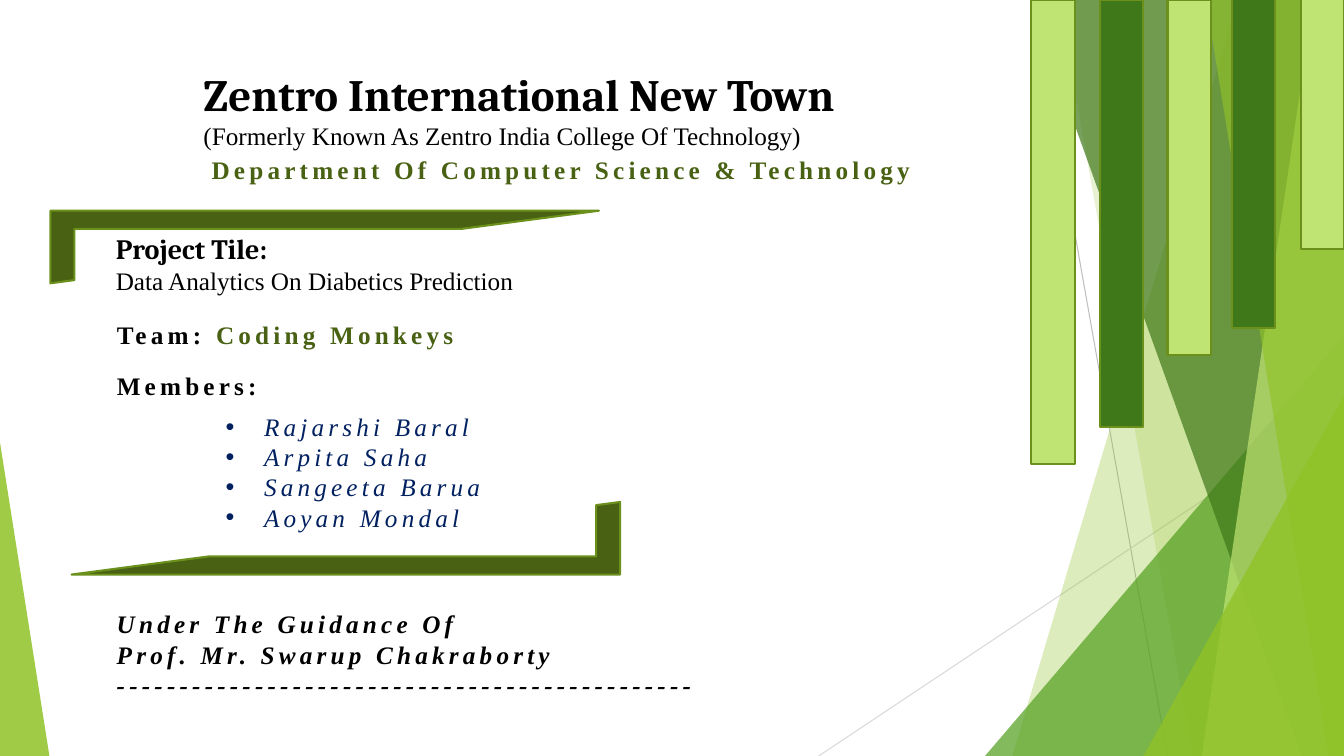
from dataclasses import dataclass

from lxml.etree import SubElement
from pptx import Presentation
from pptx.dml.color import RGBColor
from pptx.enum.shapes import MSO_CONNECTOR, MSO_SHAPE
from pptx.enum.text import MSO_AUTO_SIZE, PP_ALIGN
from pptx.oxml.ns import qn
from pptx.util import Inches, Pt


@dataclass(frozen=True)
class Theme:
    black: str = "000000"
    olive: str = "486113"
    outline: str = "6B901C"
    lime: str = "90C226"
    pale: str = "C0E474"
    forest: str = "3F7819"
    leaf: str = "54A021"
    navy: str = "002060"
    gray: str = "BFBFBF"
    light_gray: str = "D9D9D9"
    heading_font: str = "Cambria"
    body_font: str = "Times New Roman"
    title_size: int = 32
    heading_size: int = 20
    body_size: int = 18
    tracking: int = 300


THEME = Theme()
WIDTH, HEIGHT, TOP = 13.33, 7.5, -0.01


def paint(shape, color, opacity=100, outlined=False):
    shape.shadow.inherit = False
    shape.fill.solid()
    shape.fill.fore_color.rgb = RGBColor.from_string(color)
    if opacity < 100:
        tint = shape.fill._xPr.find(qn("a:solidFill"))[0]
        SubElement(tint, qn("a:alpha")).set("val", str(opacity * 1000))
    if outlined:
        shape.line.color.rgb = RGBColor.from_string(THEME.outline)
        shape.line.width = Pt(1.5)
    else:
        shape.line.fill.background()


def add_preset(page, kind, bounds, color, adjustments=(), **style):
    shape = page.shapes.add_shape(kind, *map(Inches, bounds))
    for index, value in enumerate(adjustments):
        shape.adjustments[index] = value
    paint(shape, color, **style)
    return shape


def add_shard(page, top_left, bottom_left, color, opacity):
    corners = [(WIDTH, TOP), (WIDTH, HEIGHT), (bottom_left, HEIGHT)]
    builder = page.shapes.build_freeform(Inches(top_left), Inches(TOP))
    builder.add_line_segments([(Inches(x), Inches(y)) for x, y in corners], close=True)
    paint(builder.convert_to_shape(), color, opacity)


def add_corner_triangle(page, left, top, width, tip, color, opacity):
    bounds = (left, top, width, HEIGHT - top)
    add_preset(page, MSO_SHAPE.ISOSCELES_TRIANGLE, bounds, color, [tip], opacity=opacity)


def add_hairline(page, start, end, color):
    line = page.shapes.add_connector(MSO_CONNECTOR.STRAIGHT, *map(Inches, start + end))
    line.line.color.rgb = RGBColor.from_string(color)
    line.line.width = Pt(0.75)
    SubElement(line._element.spPr, qn("a:effectLst"))


def add_box(page, bounds, wrap=True):
    box = page.shapes.add_textbox(*map(Inches, bounds))
    box.text_frame.word_wrap = wrap
    box.text_frame.auto_size = MSO_AUTO_SIZE.SHAPE_TO_FIT_TEXT
    return box.text_frame


def add_para(frame, bullet=False):
    first = frame.paragraphs[0]
    para = frame.add_paragraph() if first.runs else first
    para.alignment = PP_ALIGN.LEFT
    if bullet:
        properties = para._p.get_or_add_pPr()
        properties.set("marL", str(Inches(0.38)))
        properties.set("indent", str(Inches(-0.38)))
        SubElement(properties, qn("a:buFont")).set("typeface", "Arial")
        SubElement(properties, qn("a:buChar")).set("char", "•")
    return para


def add_span(para, text, size=THEME.body_size, font=THEME.body_font,
             color=THEME.black, bold=False, italic=False, spaced=False):
    span = para.add_run()
    span.text = text
    span.font.size = Pt(size)
    span.font.name = font
    span.font.bold = bold
    span.font.italic = italic
    span.font.color.rgb = RGBColor.from_string(color)
    if spaced:
        span.font._element.set("spc", str(THEME.tracking))


def add_headed_text(page, bounds, heading, size, detail):
    frame = add_box(page, bounds)
    add_span(add_para(frame), heading, size=size, font=THEME.heading_font, bold=True)
    add_span(add_para(frame), detail)


def add_backdrop(page):
    add_hairline(page, (10.25, 0), (11.58, HEIGHT), THEME.gray)
    add_hairline(page, (WIDTH, 4.03), (8.12, HEIGHT), THEME.light_gray)
    add_shard(page, 12.28, 10.04, THEME.lime, 30)
    add_shard(page, 10.5, 11.83, THEME.lime, 20)
    add_corner_triangle(page, 9.77, 3.33, 3.56, 1, THEME.leaf, 72)
    add_shard(page, 10.21, 12.91, THEME.forest, 70)
    add_shard(page, 13.03, 11.92, THEME.pale, 70)
    add_shard(page, 11.96, 13.18, THEME.lime, 65)
    add_corner_triangle(page, 11.34, 3.93, 1.99, 1, THEME.lime, 80)
    add_corner_triangle(page, 0, 4.39, 0.49, 0, THEME.lime, 85)


def add_texts(page):
    add_headed_text(page, (1.92, 0.61, 7.06, 0.94), "Zentro International New Town",
                    THEME.title_size, "(Formerly Known As Zentro India College Of Technology)")
    department = add_para(add_box(page, (2, 1.48, 7.31, 0.4)))
    add_span(department, "Department Of Computer Science & Technology",
             color=THEME.olive, bold=True, spaced=True)
    add_headed_text(page, (1.05, 2.25, 6.67, 0.74), "Project Tile:",
                    THEME.heading_size, "Data Analytics On Diabetics Prediction")

    team = add_para(add_box(page, (1.06, 3.12, 3.61, 0.4), wrap=False))
    add_span(team, "Team: ", bold=True, spaced=True)
    add_span(team, "Coding Monkeys", color=THEME.olive, bold=True, spaced=True)

    members = add_box(page, (2.14, 4.03, 2.79, 1.31), wrap=False)
    for name in ("Rajarshi Baral", "Arpita Saha", "Sangeeta Barua", "Aoyan Mondal"):
        add_span(add_para(members, bullet=True), name,
                 color=THEME.navy, italic=True, spaced=True)
    label = add_para(add_box(page, (1.06, 3.62, 1.65, 0.4), wrap=False))
    add_span(label, "Members:", bold=True, spaced=True)

    guidance = add_box(page, (1.06, 5.99, 6.67, 1.01))
    for text in ("Under The Guidance Of", "Prof. Mr. Swarup Chakraborty", "-" * 46):
        add_span(add_para(guidance), text, bold=True, italic=True, spaced=True)


def add_bars(page):
    bars = [(10.23, 0, 4.6), (10.91, 0, 4.24), (11.58, 0, 3.52),
            (12.22, -0.03, 3.28), (12.9, -0.03, 2.5)]
    for index, (left, top, height) in enumerate(bars):
        color = THEME.forest if index % 2 else THEME.pale
        add_preset(page, MSO_SHAPE.RECTANGLE, (left, top, 0.43, height), color, outlined=True)


def add_brackets(page):
    for left, top, rotation in ((0.5, 2.09, 0), (0.71, 4.98, 180)):
        bracket = add_preset(page, MSO_SHAPE.HALF_FRAME, (left, top, 5.44, 0.72),
                             THEME.olive, (0.25, 0.33), outlined=True)
        bracket.rotation = rotation


def main():
    deck = Presentation()
    deck.slide_width, deck.slide_height = Inches(WIDTH), Inches(HEIGHT)
    page = deck.slides.add_slide(deck.slide_layouts[6])
    add_backdrop(page)
    add_texts(page)
    add_bars(page)
    add_brackets(page)
    deck.save("out.pptx")


if __name__ == "__main__":
    main()
